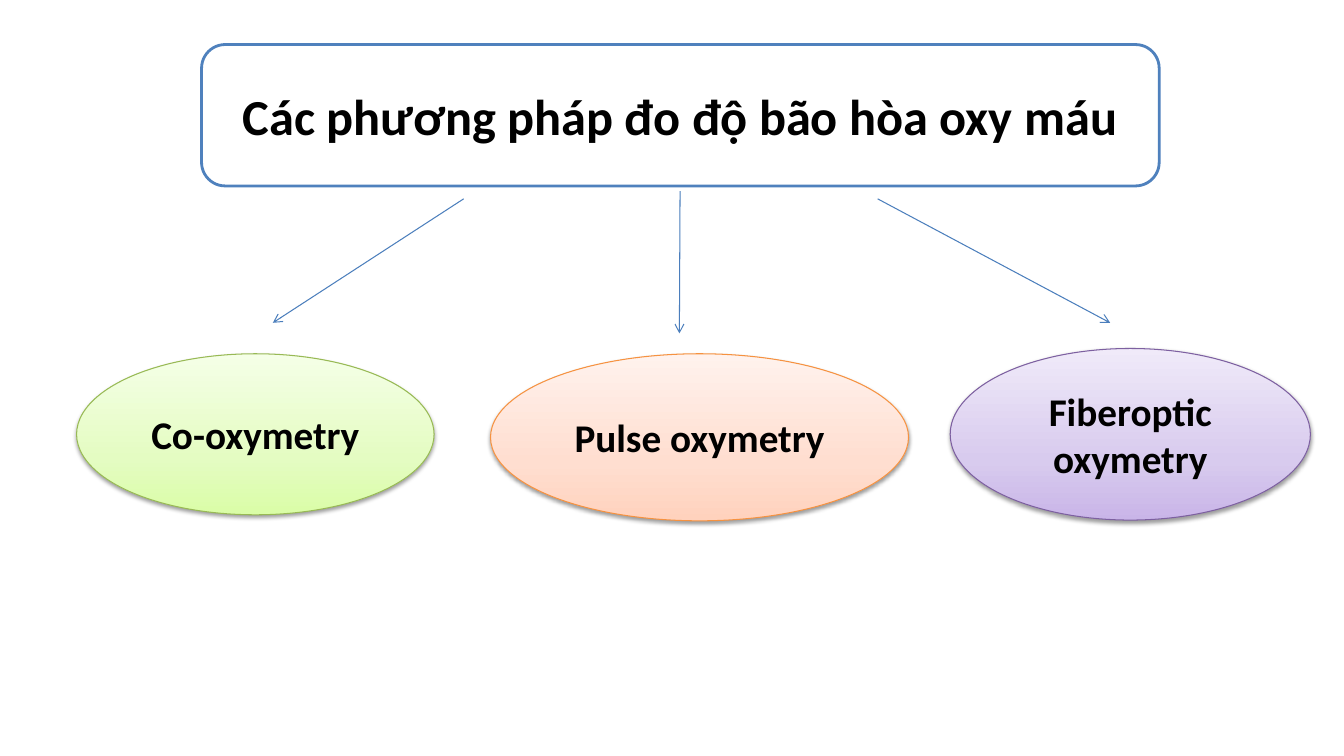
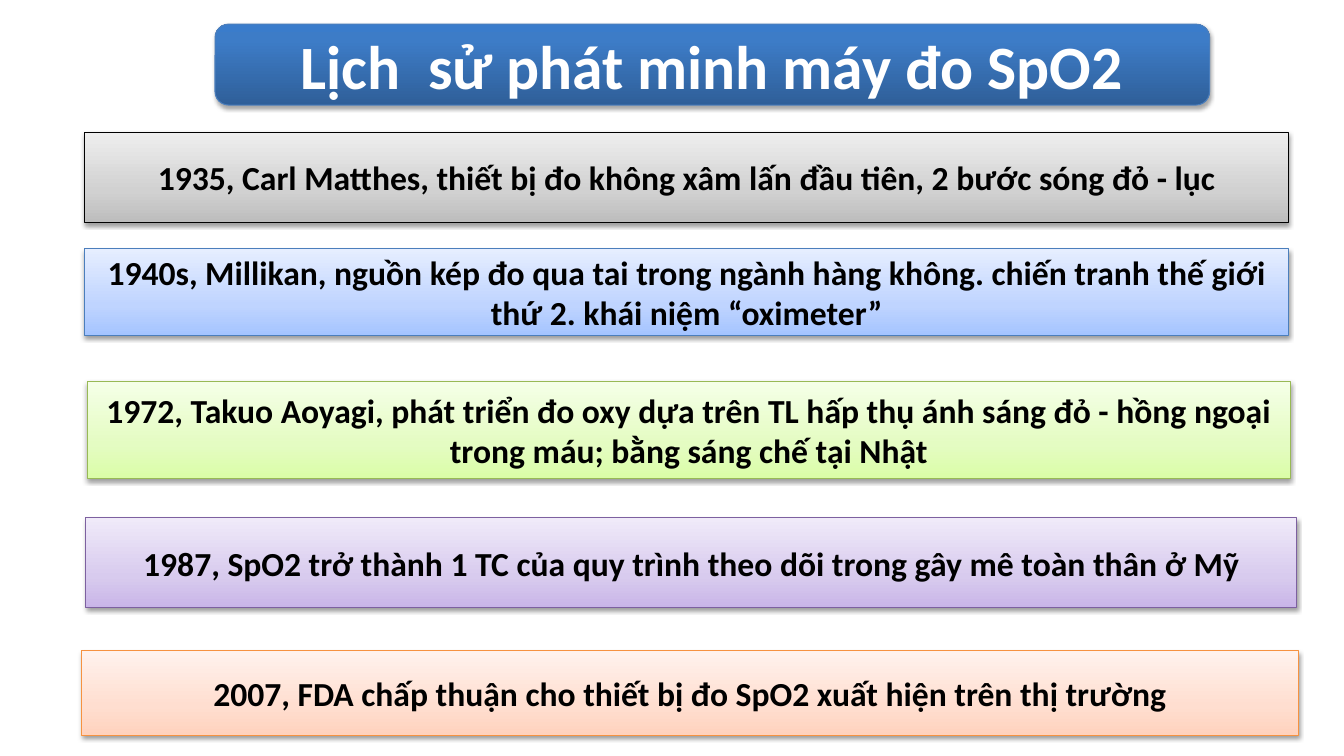
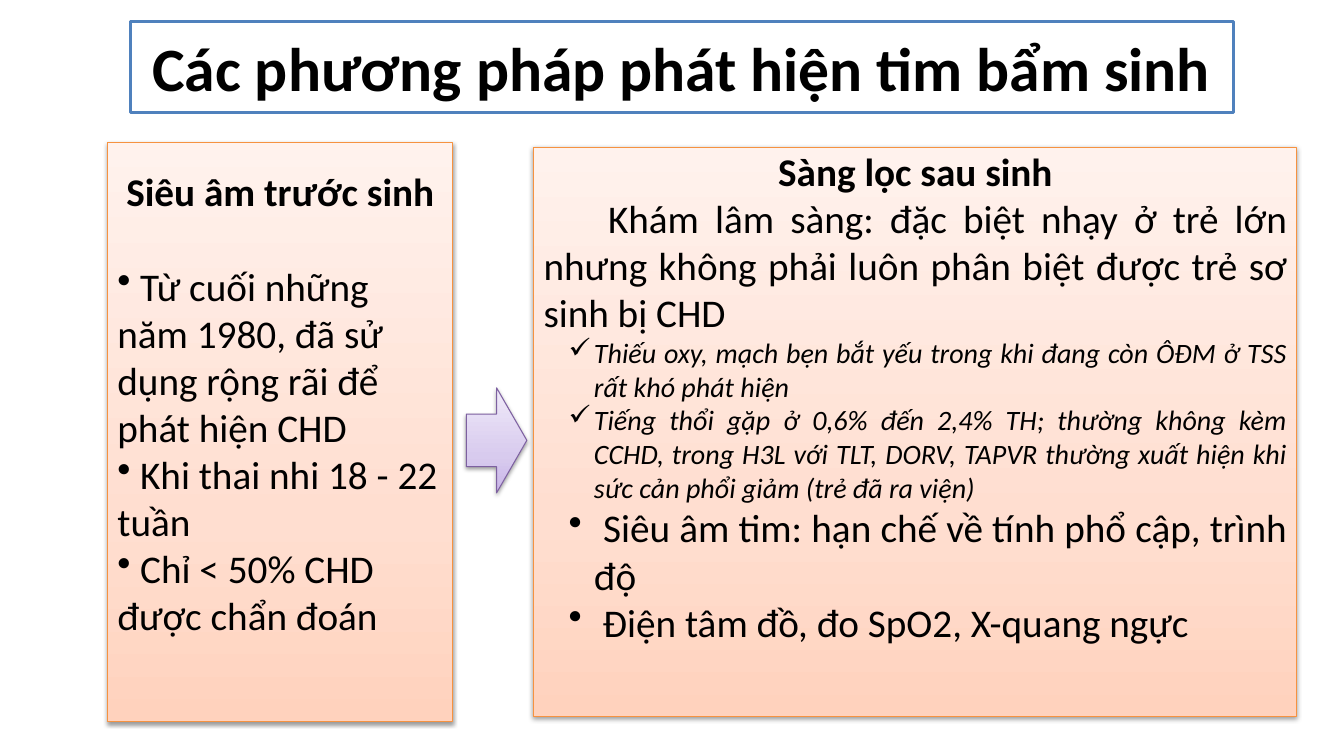
from copy import deepcopy
from dataclasses import dataclass

from lxml import etree
from pptx import Presentation, util as u
from pptx.dml.color import RGBColor
from pptx.enum import shapes, text
from pptx.oxml.ns import qn

FONT = "Calibri"
BLACK = RGBColor(0x00, 0x00, 0x00)
WHITE = RGBColor(0xFF, 0xFF, 0xFF)
FRAME_BLUE = RGBColor(0x4F, 0x81, 0xBD)
LINE_BLUE = RGBColor(0x4B, 0x7E, 0xBC)
KIND = shapes.MSO_SHAPE
CENTER, LEFT, JUSTIFY = text.PP_ALIGN.CENTER, text.PP_ALIGN.LEFT, text.PP_ALIGN.JUSTIFY


@dataclass
class Theme:
    """A three-stop gradient running upwards, with its outline colour."""
    line: RGBColor
    low: RGBColor
    middle: RGBColor
    high: RGBColor
    turn: float = 0.35
    opacity: int = 38
    drop: float = 1.6


GREEN = Theme(RGBColor(0x98, 0xB9, 0x55), RGBColor(0xDA, 0xFD, 0xA7),
              RGBColor(0xE4, 0xFC, 0xC2), RGBColor(0xF5, 0xFF, 0xE7))
ORANGE = Theme(RGBColor(0xF6, 0x92, 0x40), RGBColor(0xFF, 0xD2, 0xBD),
               RGBColor(0xFF, 0xDE, 0xD0), RGBColor(0xFF, 0xF2, 0xED))
PURPLE = Theme(RGBColor(0x7D, 0x60, 0xA0), RGBColor(0xC9, 0xB5, 0xE8),
               RGBColor(0xD8, 0xCB, 0xEE), RGBColor(0xF0, 0xEA, 0xF9))
GREY = Theme(BLACK, RGBColor(0xBD, 0xBD, 0xBD),
             RGBColor(0xD1, 0xD1, 0xD1), RGBColor(0xEE, 0xEE, 0xEE))
BLUE = Theme(LINE_BLUE, RGBColor(0xA4, 0xC4, 0xFF),
             RGBColor(0xBF, 0xD4, 0xFF), RGBColor(0xE6, 0xEE, 0xFF))
DEEP_BLUE = Theme(LINE_BLUE, RGBColor(0x2F, 0x5F, 0x99), RGBColor(0x3D, 0x7C, 0xC7),
                  RGBColor(0x3A, 0x7C, 0xCB), 0.8, 35, 1.8)


@dataclass
class Box:
    """A rectangle whose inner places are given as percentages of its size."""
    left: int
    top: int
    width: int
    height: int

    def point(self, across, down):
        """Return the point at the given percentages."""
        return (round(self.left + self.width * across / 100),
                round(self.top + self.height * down / 100))

    def inner(self, left, top, width, height):
        """Return the inner box at the given percentages."""
        return Box(*self.point(left, top), round(self.width * width / 100),
                   round(self.height * height / 100))


@dataclass
class Para:
    """The wording and style of one paragraph."""
    text: str
    size: int = 28
    bold: bool = False
    italic: bool = False
    color: RGBColor = BLACK
    align: int = CENTER
    bullet: str = ""
    margin: float = 0
    indent: float = 0
    before: float = 0


def write(shape, paras, anchor=text.MSO_ANCHOR.MIDDLE, inset=0.05):
    """Fill a shape with styled paragraphs."""
    frame = shape.text_frame
    frame.word_wrap = True
    frame.vertical_anchor = anchor
    frame.margin_top = u.Inches(inset)
    for index, para in enumerate(paras):
        line = frame.add_paragraph() if index else frame.paragraphs[0]
        line.text = para.text
        line.alignment = para.align
        props = line._p.get_or_add_pPr()
        props.set("marL", str(u.Inches(para.margin)))
        props.set("indent", str(u.Inches(para.indent)))
        if para.bullet:
            etree.SubElement(props, qn("a:buChar"), char=para.bullet)
        if para.before:
            line.space_before = u.Pt(para.before)
        for span in line.runs:
            span.font.name = FONT
            span.font.size = u.Pt(para.size)
            span.font.bold = para.bold
            span.font.italic = para.italic
            span.font.color.rgb = para.color


def add_block(page, kind, box, line_color, line_width):
    """Add an outlined shape without a shadow."""
    shape = page.shapes.add_shape(kind, box.left, box.top, box.width, box.height)
    shape.shadow.inherit = False
    shape.line.color.rgb = line_color
    shape.line.width = u.Pt(line_width)
    return shape


def add_framed(page, kind, box, title):
    """Add a white title frame with a blue outline."""
    shape = add_block(page, kind, box, FRAME_BLUE, 2)
    shape.fill.solid()
    shape.fill.fore_color.rgb = WHITE
    write(shape, [title])


def add_glossy(page, kind, box, theme):
    """Add a shape with a theme's gradient and a soft shadow below."""
    shape = add_block(page, kind, box, theme.line, 0.75)
    fill = shape.fill
    fill.gradient()
    fill.gradient_angle = 90
    props = shape._element.spPr
    stops = props.find(qn("a:gradFill")).find(qn("a:gsLst"))
    stops.append(deepcopy(stops[-1]))
    colors = (theme.low, theme.middle, theme.high)
    for stop, place, color in zip(fill.gradient_stops, (0, theme.turn, 1), colors):
        stop.position = place
        stop.color.rgb = color
    shadow = etree.SubElement(props.find(qn("a:effectLst")), qn("a:outerShdw"),
                              blurRad=str(u.Pt(3.1)), dist=str(u.Pt(theme.drop)),
                              dir="5400000", rotWithShape="0")
    shade = etree.SubElement(shadow, qn("a:srgbClr"), val=str(BLACK))
    etree.SubElement(shade, qn("a:alpha"), val=str(theme.opacity * 1000))
    return shape


def add_arrow(page, start, end):
    """Add a thin blue line with an open arrowhead at its end."""
    arrow = page.shapes.add_connector(shapes.MSO_CONNECTOR.STRAIGHT, *start, *end)
    arrow.line.color.rgb = LINE_BLUE
    arrow.line.width = u.Pt(0.75)
    props = arrow._element.spPr
    etree.SubElement(props.find(qn("a:ln")), qn("a:tailEnd"), type="arrow")
    etree.SubElement(props, qn("a:effectLst"))


def methods_slide(page, area):
    """Show the measuring methods branching from their title."""
    add_framed(page, KIND.ROUNDED_RECTANGLE, area.inner(15, 5.9, 71.25, 18.7),
               Para("Các phương pháp đo độ bão hòa oxy máu", 36, True))
    arrows = [((50.6, 25.3), (50.55, 44.1)), ((34.5, 26.3), (20.3, 42.7)),
              ((65.3, 26.3), (82.6, 42.7))]
    for start, end in arrows:
        add_arrow(page, area.point(*start), area.point(*end))
    methods = [("Co-oxymetry", GREEN, (5.7, 46.8, 26.6, 21.3)),
               ("Pulse oxymetry", ORANGE, (36.5, 46.8, 31.1, 22.1)),
               ("Fiberoptic oxymetry", PURPLE, (70.7, 46.1, 26.8, 22.7))]
    for name, theme, place in methods:
        write(add_glossy(page, KIND.OVAL, area.inner(*place), theme), [Para(name, bold=True)])


def history_slide(page, area):
    """Stack the milestones as coloured bars under a blue title."""
    title = add_glossy(page, KIND.ROUNDED_RECTANGLE, area.inner(16, 3.2, 74, 10.7), DEEP_BLUE)
    write(title, [Para("Lịch  sử phát minh máy đo SpO2", 44, True, color=WHITE)])
    milestones = [
        ("1935, Carl Matthes, thiết bị đo không xâm lấn đầu tiên, 2 bước sóng đỏ - lục",
         GREY, (6.3, 17.5, 89.6, 11.9)),
        ("1940s, Millikan, nguồn kép đo qua tai trong ngành hàng không. chiến tranh thế giới "
         "thứ 2. khái niệm “oximeter”", BLUE, (6.3, 32.9, 89.6, 11.5)),
        ("1972, Takuo Aoyagi, phát triển đo oxy dựa trên TL hấp thụ ánh sáng đỏ - hồng ngoại "
         "trong máu; bằng sáng chế tại Nhật", GREEN, (6.5, 50.5, 89.5, 12.8)),
        ("1987, SpO2 trở thành 1 TC của quy trình theo dõi trong gây mê toàn thân ở Mỹ",
         PURPLE, (6.4, 68.5, 90.1, 11.9)),
        ("2007, FDA chấp thuận cho thiết bị đo SpO2 xuất hiện trên thị trường",
         ORANGE, (6.1, 86.1, 90.5, 11.2)),
    ]
    for wording, theme, place in milestones:
        bar = add_glossy(page, KIND.RECTANGLE, area.inner(*place), theme)
        write(bar, [Para(wording, 24, True)])


def detection_slide(page, area):
    """Set prenatal ultrasound beside postnatal screening."""
    add_framed(page, KIND.RECTANGLE, area.inner(9.7, 2.8, 82.1, 12.1),
               Para("Các phương pháp phát hiện tim bẩm sinh", 44, True))
    point = dict(align=LEFT, bullet="•")
    prenatal = [
        Para("Siêu âm trước sinh", bold=True),
        Para(" Từ cuối những năm 1980, đã sử dụng rộng rãi để phát hiện CHD", before=34, **point),
        Para(" Khi thai nhi 18 - 22 tuần", **point),
        Para(" Chỉ < 50% CHD được chẩn đoán", **point),
    ]
    hanging = dict(align=JUSTIFY, margin=0.5, indent=-0.25)
    check = dict(size=20, italic=True, bullet="✓", **hanging)
    postnatal = [
        Para("Sàng lọc sau sinh", bold=True),
        Para("Khám lâm sàng: đặc biệt nhạy ở trẻ lớn nhưng không phải luôn phân biệt được "
             "trẻ sơ sinh bị CHD", align=JUSTIFY, indent=0.64),
        Para("Thiếu oxy, mạch bẹn bắt yếu trong khi đang còn ÔĐM ở TSS rất khó phát hiện",
             **check),
        Para("Tiếng thổi gặp ở 0,6% đến 2,4% TH; thường không kèm CCHD, trong H3L với TLT, "
             "DORV, TAPVR thường xuất hiện khi sức cản phổi giảm (trẻ đã ra viện)", **check),
        Para(" Siêu âm tim: hạn chế về tính phổ cập, trình độ", bullet="•", **hanging),
        Para(" Điện tâm đồ, đo SpO2, X-quang ngực", bullet="•", **hanging),
    ]
    panels = [(prenatal, (8, 18.8, 25.7, 76.7), 0.25), (postnatal, (39.7, 19.5, 56.8, 75.3), 0)]
    for paras, place, inset in panels:
        panel = add_glossy(page, KIND.RECTANGLE, area.inner(*place), ORANGE)
        write(panel, paras, text.MSO_ANCHOR.TOP, inset)
    add_glossy(page, KIND.RIGHT_ARROW, area.inner(34.7, 51.3, 4.5, 13.9), PURPLE)


def main():
    """Build the deck and save it."""
    deck = Presentation()
    deck.slide_width, deck.slide_height = u.Inches(13.33), u.Inches(7.5)
    area = Box(0, 0, deck.slide_width, deck.slide_height)
    for build in (methods_slide, history_slide, detection_slide):
        build(deck.slides.add_slide(deck.slide_layouts[6]), area)
    deck.save("out.pptx")


if __name__ == "__main__":
    main()
